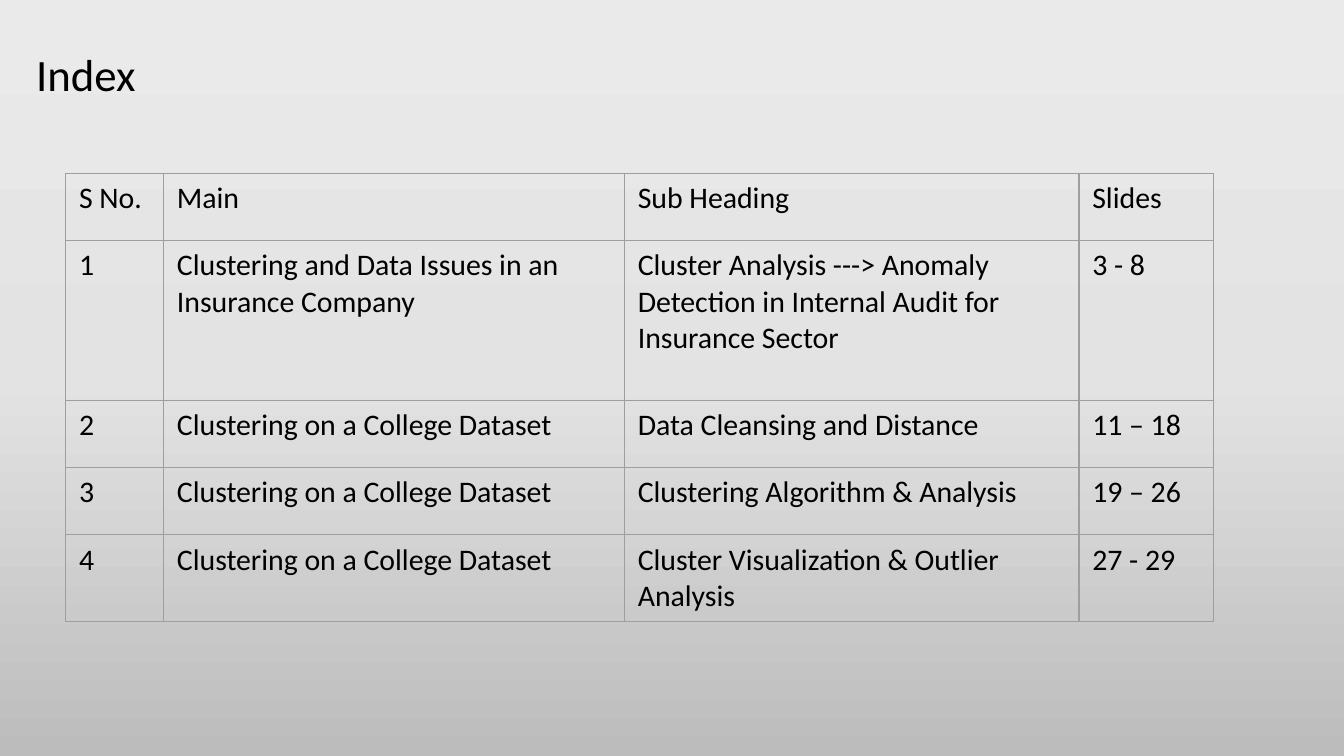
import copy
from dataclasses import dataclass

import pptx
import pptx.dml.color
import pptx.enum.text
import pptx.oxml
import pptx.oxml.ns
import pptx.util
from pptx.util import Cm

COLORS = {
    "text": "000000",
    "border": "9E9E9E",
    "top": "EBEAEA",
    "middle": "E4E3E3",
    "bottom": "BDBCBC",
}
FONT = "Calibri"
COLUMN_WIDTHS = (1.85, 8.71, 8.59, 2.54)
HEADINGS = ("S No.", "Main", "Sub Heading", "Slides")


@dataclass
class Entry:
    main: str
    sub_heading: str
    slides: str
    height: float = 1.27


COLLEGE = "Clustering on a College Dataset"
ENTRIES = [
    Entry(
        "Clustering and Data Issues in an Insurance Company",
        "Cluster Analysis ---> Anomaly Detection in Internal Audit for Insurance Sector",
        "3 - 8",
        3.02,
    ),
    Entry(COLLEGE, "Data Cleansing and Distance", "11 – 18"),
    Entry(COLLEGE, "Clustering Algorithm & Analysis", "19 – 26"),
    Entry(COLLEGE, "Cluster Visualization & Outlier Analysis", "27 - 29", 1.63),
]


def rgb(name: str) -> pptx.dml.color.RGBColor:
    return pptx.dml.color.RGBColor.from_string(COLORS[name])


def format_paragraph(paragraph, size: int) -> None:
    paragraph.alignment = pptx.enum.text.PP_ALIGN.LEFT
    paragraph.font.name = FONT
    paragraph.font.size = pptx.util.Pt(size)
    paragraph.font.color.rgb = rgb("text")


def set_background(slide) -> None:
    fill = slide.background.fill
    fill.gradient()
    fill.gradient_angle = 270
    # The default gradient has two stops; add a third
    stop_list = slide.element.find(".//" + pptx.oxml.ns.qn("a:gsLst"))
    stop_list.append(copy.deepcopy(stop_list[-1]))
    for index, name in enumerate(("top", "middle", "bottom")):
        stop = fill.gradient_stops[index]
        stop.position = index / 2
        stop.color.rgb = rgb(name)


def add_borders(cell) -> None:
    properties = cell._tc.get_or_add_tcPr()
    for side in "LRTB":
        properties.append(pptx.oxml.parse_xml(
            f'<a:ln{side} {pptx.oxml.ns.nsdecls("a")} w="{pptx.util.Pt(0.75)}">'
            f'<a:solidFill><a:srgbClr val="{COLORS["border"]}"/></a:solidFill>'
            f'</a:ln{side}>'
        ))


def add_index_table(slide, entries: list[Entry]) -> None:
    rows = [HEADINGS] + [
        (str(number), entry.main, entry.sub_heading, entry.slides)
        for number, entry in enumerate(entries, 1)
    ]
    heights = [1.27] + [entry.height for entry in entries]
    table = slide.shapes.add_table(
        len(rows), len(HEADINGS), Cm(1.24), Cm(3.28),
        Cm(sum(COLUMN_WIDTHS)), Cm(sum(heights)),
    ).table
    table.first_row = False
    table.horz_banding = False
    for column, width in zip(table.columns, COLUMN_WIDTHS):
        column.width = Cm(width)
    for row, height, texts in zip(table.rows, heights, rows):
        row.height = Cm(height)
        for cell, text in zip(row.cells, texts):
            cell.text = text
            format_paragraph(cell.text_frame.paragraphs[0], 16)
            add_borders(cell)
            cell.fill.background()


def main() -> None:
    presentation = pptx.Presentation()
    presentation.slide_width, presentation.slide_height = Cm(25.4), Cm(14.29)
    slide = presentation.slides.add_slide(presentation.slide_layouts[5])
    set_background(slide)

    # Title
    title = slide.shapes.title
    title.left, title.top, title.width, title.height = Cm(0.43), Cm(0.76), Cm(17.93), Cm(1.28)
    title.text_frame.text = "Index"
    title.text_frame.vertical_anchor = pptx.enum.text.MSO_ANCHOR.TOP
    format_paragraph(title.text_frame.paragraphs[0], 24)

    # Index of sections
    add_index_table(slide, ENTRIES)
    presentation.save("out.pptx")


if __name__ == "__main__":
    main()
